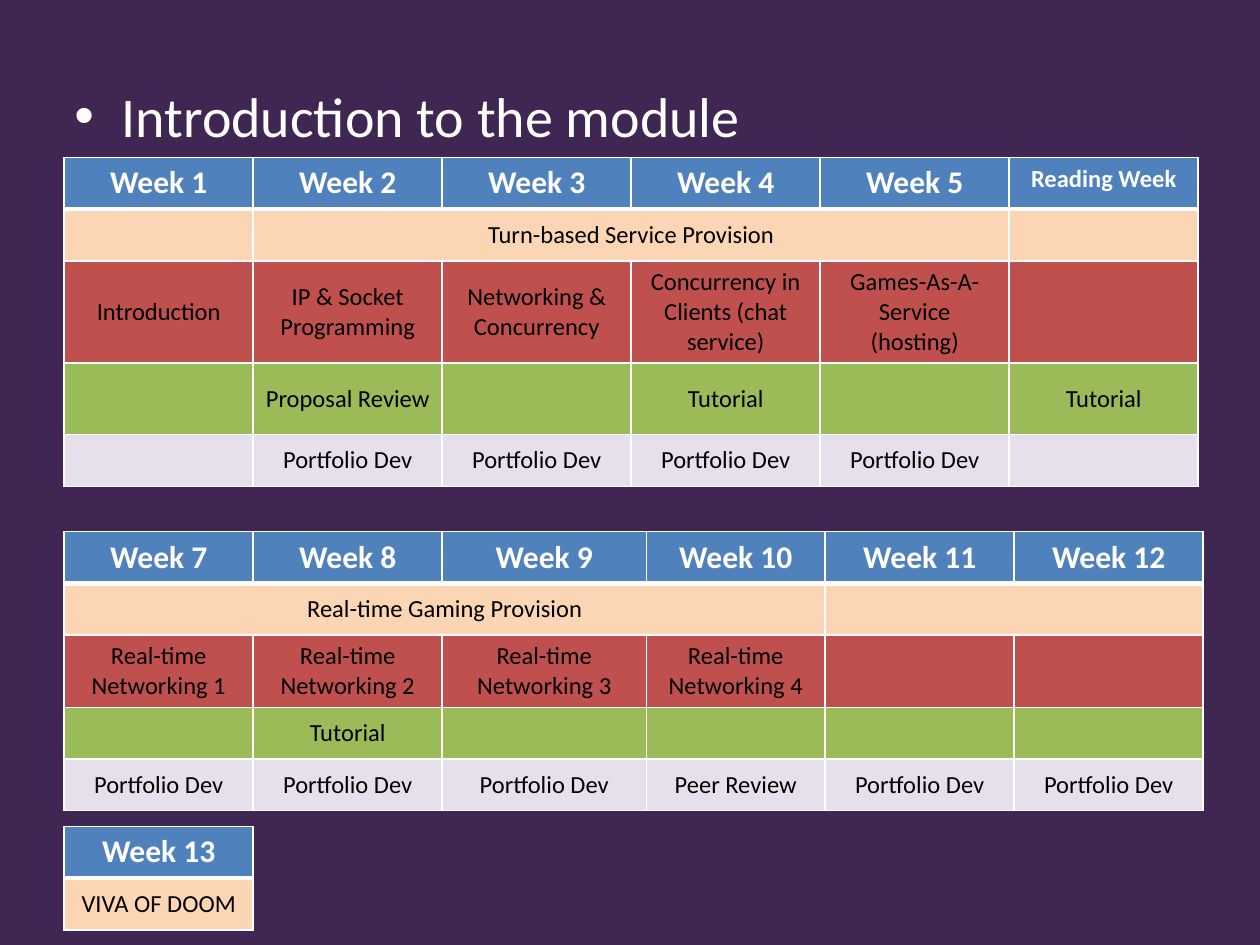
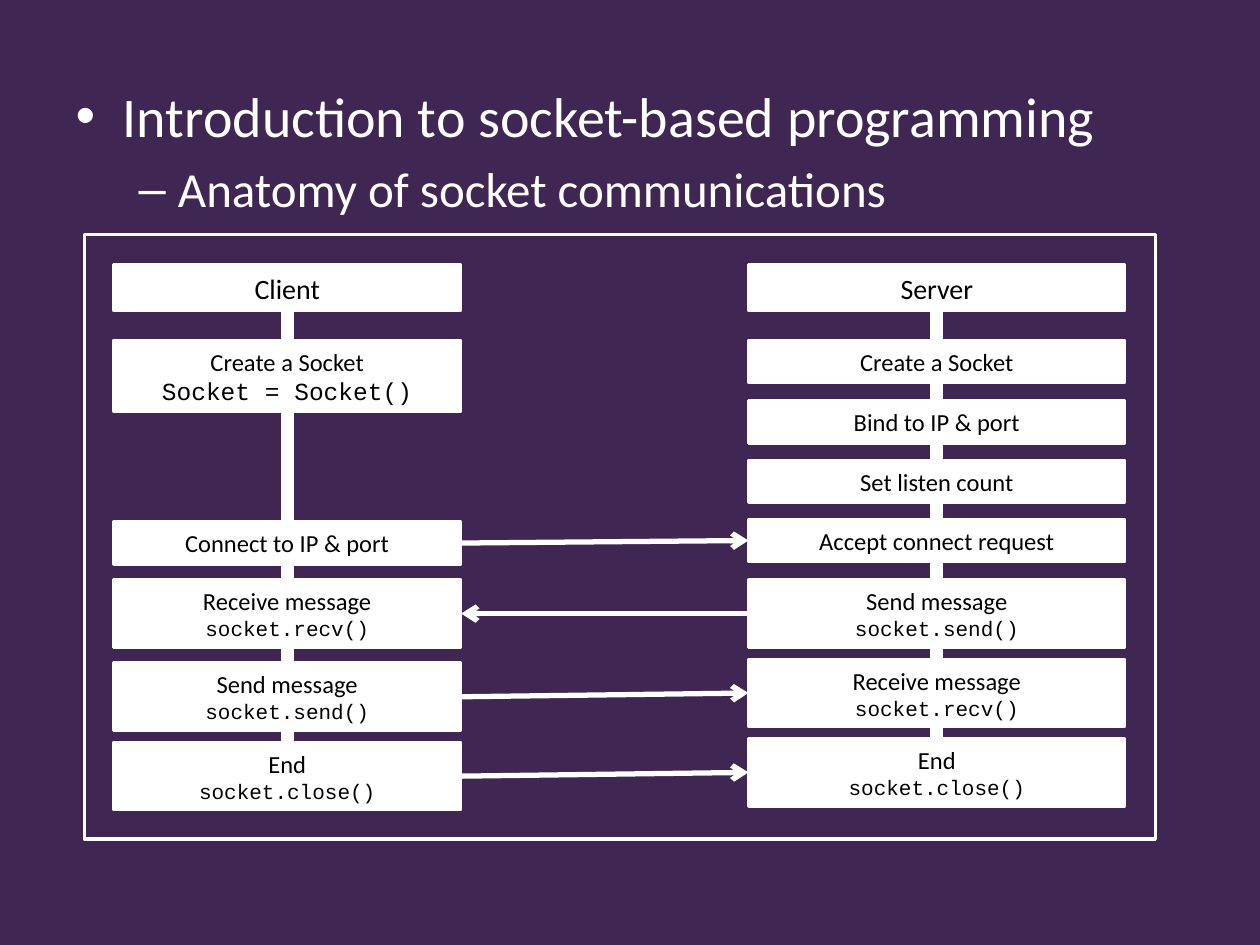
"""Build two module slides: the weekly timetable and the anatomy of socket communications."""
from dataclasses import dataclass

from lxml import etree
from pptx import Presentation
from pptx import util as u
from pptx.dml.color import RGBColor
from pptx.enum import shapes, text
from pptx.oxml.ns import qn

COLOURS = {
    "background": "402652",
    "white": "FFFFFF",
    "black": "000000",
    "week": "4F81BD",
    "theme": "FCD5B5",
    "lecture": "C0504D",
    "review": "9BBB59",
    "portfolio": "E6E0EC",
}
ROW_COLOURS = ("week", "theme", "lecture", "review", "portfolio")
BODY_FONT = "Calibri"
CODE_FONT = "Courier New"
TABLE_LEFT = 0.51
ROW_HEIGHT = 0.41
TWO_LINES = 0.57
THREE_LINES = 0.81
LINE_HEIGHT = 0.34
PAIR_HEIGHT = 0.54


@dataclass(frozen=True)
class Timetable:
    """A table of weeks; spans lists (row, first column, last column)."""

    top: float
    widths: tuple[float, ...]
    heights: tuple[float, ...]
    rows: tuple[tuple[str, ...], ...]
    spans: tuple[tuple[int, int, int], ...] = ()


@dataclass(frozen=True)
class Step:
    """A labelled step of a program, with its call in code if it has one."""

    top: float
    label: str
    code: str = ""
    height: float = LINE_HEIGHT
    label_size: int = 14
    code_size: int = 12


@dataclass(frozen=True)
class Lane:
    """The column of steps that one program runs through."""

    left: float
    width: float
    steps: tuple[Step, ...]


TIMETABLES = (
    Timetable(
        1.25,
        (1.5,) * 6,
        (ROW_HEIGHT, ROW_HEIGHT, THREE_LINES, TWO_LINES, ROW_HEIGHT),
        (
            ("Week 1", "Week 2", "Week 3", "Week 4", "Week 5", "Reading Week"),
            ("", "Turn-based Service Provision", "", "", "", ""),
            ("Introduction", "IP & Socket Programming", "Networking & Concurrency",
             "Concurrency in Clients (chat service)", "Games-As-A-Service\n(hosting)", ""),
            ("", "Proposal Review", "", "Tutorial", "", "Tutorial"),
            ("", *("Portfolio Dev",) * 4, ""),
        ),
        ((1, 1, 4),),
    ),
    Timetable(
        4.22,
        (1.5, 1.5, 1.62, 1.42, 1.5, 1.5),
        (ROW_HEIGHT, ROW_HEIGHT, TWO_LINES, ROW_HEIGHT, ROW_HEIGHT),
        (
            tuple(f"Week {week}" for week in range(7, 13)),
            ("Real-time Gaming Provision", "", "", "", "", ""),
            (*(f"Real-time Networking {part}" for part in range(1, 5)), "", ""),
            ("", "Tutorial", "", "", "", ""),
            (*("Portfolio Dev",) * 3, "Peer Review", *("Portfolio Dev",) * 2),
        ),
        ((1, 0, 3), (1, 4, 5)),
    ),
    Timetable(6.56, (1.5,), (ROW_HEIGHT,) * 2, (("Week 13",), ("VIVA OF DOOM",))),
)

CLIENT = Lane(0.9, 2.76, (
    Step(2.1, "Client", height=0.37, label_size=16),
    Step(2.7, "Create a Socket", "Socket = Socket()", height=0.57, code_size=14),
    Step(4.14, "Connect to IP & port"),
    Step(4.6, "Receive message", "socket.recv()", PAIR_HEIGHT),
    Step(5.26, "Send message", "socket.send()", PAIR_HEIGHT),
    Step(5.89, "End", "socket.close()", PAIR_HEIGHT),
))
SERVER = Lane(5.94, 2.99, (
    Step(2.1, "Server", height=0.37, label_size=16),
    Step(2.7, "Create a Socket"),
    Step(3.18, "Bind to IP & port"),
    Step(3.65, "Set listen count"),
    Step(4.12, "Accept connect request"),
    Step(4.6, "Send message", "socket.send()", PAIR_HEIGHT),
    Step(5.23, "Receive message", "socket.recv()", PAIR_HEIGHT),
    Step(5.86, "End", "socket.close()", PAIR_HEIGHT),
))
EXCHANGES_TO_SERVER = (True, False, True, True)


def colour(name: str) -> RGBColor:
    """Return a named colour of the deck."""
    return RGBColor.from_string(COLOURS[name])


def set_font(paragraph, size: float, colour_name: str, name: str = BODY_FONT, bold: bool = False) -> None:
    """Format all the text of a paragraph."""
    font = paragraph.font
    font.name, font.size, font.bold = name, u.Pt(size), bold
    font.color.rgb = colour(colour_name)


def add_outline_slide(presentation, left: float, lines: tuple[str, ...]):
    """Add a slide without title whose bullets step down one level per line."""
    slide = presentation.slides.add_slide(presentation.slide_layouts[1])
    title = slide.shapes.title
    title.element.getparent().remove(title.element)
    body = slide.placeholders[1]
    body.left, body.top = u.Inches(left), u.Inches(0.6)
    body.width, body.height = u.Inches(9), u.Inches(6.7)
    body.text_frame.text = "\n".join(lines)
    for level, paragraph in enumerate(body.text_frame.paragraphs):
        paragraph.level = level
        if level == 0:
            paragraph.space_before = u.Pt(0)
        set_font(paragraph, 32 - 4 * level, "white")
    return slide


def set_borders(cell, top: float, bottom: float) -> None:
    """Draw white borders around a cell, one point wide at its sides."""
    properties = cell._tc.get_or_add_tcPr()
    for side, width in (("L", 1), ("R", 1), ("T", top), ("B", bottom)):
        line = etree.SubElement(properties, qn(f"a:ln{side}"), w=str(u.Pt(width)))
        fill = etree.SubElement(line, qn("a:solidFill"))
        etree.SubElement(fill, qn("a:srgbClr"), val=COLOURS["white"])


def format_cell(cell, row: int, content: str) -> None:
    """Write a timetable cell in the style of its row."""
    set_borders(cell, top=3 if row == 1 else 1, bottom=3 if row == 0 else 1)
    cell.fill.solid()
    cell.fill.fore_color.rgb = colour(ROW_COLOURS[row])
    cell.vertical_anchor = text.MSO_ANCHOR.MIDDLE if row else text.MSO_ANCHOR.TOP
    cell.text = content
    size = 18 if row == 0 and content != "Reading Week" else 14
    for paragraph in cell.text_frame.paragraphs:
        paragraph.alignment = text.PP_ALIGN.CENTER
        set_font(paragraph, size, "black" if row else "white", bold=row == 0)


def add_timetable(slide, timetable: Timetable) -> None:
    """Draw one timetable."""
    frame = slide.shapes.add_table(
        len(timetable.heights), len(timetable.widths),
        u.Inches(TABLE_LEFT), u.Inches(timetable.top),
        u.Inches(sum(timetable.widths)), u.Inches(sum(timetable.heights)),
    )
    table = frame.table
    table.horz_banding = False
    for column, width in zip(table.columns, timetable.widths):
        column.width = u.Inches(width)
    for row, height in zip(table.rows, timetable.heights):
        row.height = u.Inches(height)
    for row, contents in enumerate(timetable.rows):
        for column, content in enumerate(contents):
            format_cell(table.cell(row, column), row, content)
    for row, first, last in timetable.spans:
        table.cell(row, first).merge(table.cell(row, last))


def add_box(slide, left: float, top: float, width: float, height: float, line: float = 1.5, filled: bool = True):
    """Draw a rectangle with a white outline."""
    box = slide.shapes.add_shape(
        shapes.MSO_SHAPE.RECTANGLE, u.Inches(left), u.Inches(top), u.Inches(width), u.Inches(height)
    )
    box.shadow.inherit = False
    if filled:
        box.fill.solid()
        box.fill.fore_color.rgb = colour("white")
    else:
        box.fill.background()
    box.line.color.rgb = colour("white")
    box.line.width = u.Pt(line)
    return box


def add_step(slide, lane: Lane, step: Step):
    """Draw one step of a lane."""
    box = add_box(slide, lane.left, step.top, lane.width, step.height)
    frame = box.text_frame
    frame.word_wrap = True
    frame.text = f"{step.label}\n{step.code}" if step.code else step.label
    styles = ((step.label_size, BODY_FONT), (step.code_size, CODE_FONT))
    for paragraph, (size, name) in zip(frame.paragraphs, styles):
        paragraph.alignment = text.PP_ALIGN.CENTER
        set_font(paragraph, size, "black", name)
    return box


def add_lane(slide, lane: Lane) -> list:
    """Draw a lane's spine and its steps, and return the steps."""
    spine_width = 0.08
    add_box(slide, lane.left + (lane.width - spine_width) / 2, 2.41, spine_width, 3.87)
    return [add_step(slide, lane, step) for step in lane.steps]


def add_exchange(slide, client, server, to_server: bool) -> None:
    """Draw an arrow between a client step and a server step."""
    ends = ((client, 3), (server, 1))
    start, end = ends if to_server else ends[::-1]
    arrow = slide.shapes.add_connector(shapes.MSO_CONNECTOR.STRAIGHT, 0, 0, 0, 0)
    arrow.begin_connect(*start)
    arrow.end_connect(*end)
    arrow.line.color.rgb = colour("white")
    arrow.line.width = u.Pt(3)
    etree.SubElement(arrow.line._get_or_add_ln(), qn("a:tailEnd"), type="arrow")
    etree.SubElement(arrow.element.spPr, qn("a:effectLst"))


def build_timetable_slide(presentation) -> None:
    """Build the slide with the weeks of the module."""
    slide = add_outline_slide(presentation, 0.49, ("Introduction to the module",))
    for timetable in TIMETABLES:
        add_timetable(slide, timetable)


def build_socket_slide(presentation) -> None:
    """Build the slide with the client and server exchange."""
    slide = add_outline_slide(
        presentation, 0.5, ("Introduction to socket-based programming", "Anatomy of socket communications")
    )
    count = len(EXCHANGES_TO_SERVER)
    client_steps = add_lane(slide, CLIENT)[-count:]
    server_steps = add_lane(slide, SERVER)[-count:]
    for client, server, to_server in zip(client_steps, server_steps, EXCHANGES_TO_SERVER):
        add_exchange(slide, client, server, to_server)
    add_box(slide, 0.67, 1.86, 8.5, 4.8, line=2, filled=False)


def main() -> None:
    """Build and save the deck."""
    presentation = Presentation()
    presentation.slide_width, presentation.slide_height = u.Inches(10), u.Inches(7.5)
    background = presentation.slide_master.background.fill
    background.solid()
    background.fore_color.rgb = colour("background")
    build_timetable_slide(presentation)
    build_socket_slide(presentation)
    presentation.save("out.pptx")


if __name__ == "__main__":
    main()
